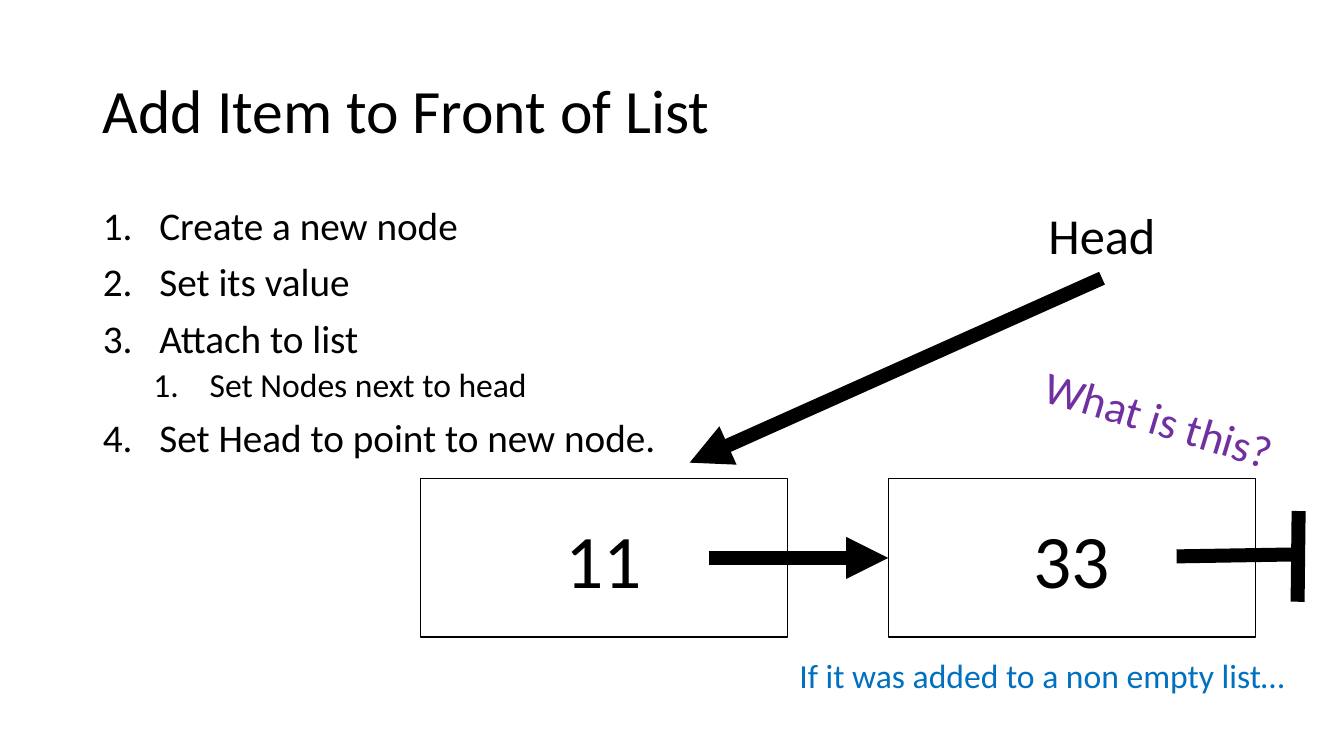
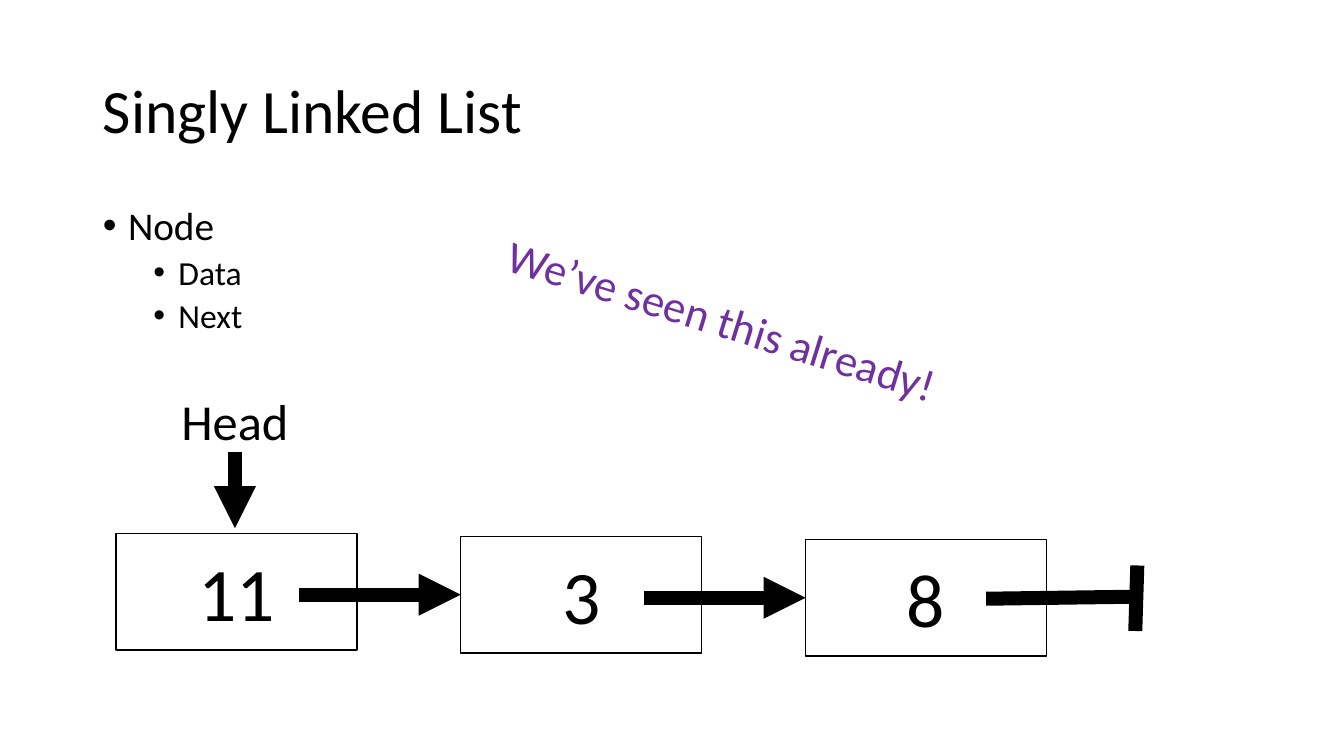
import pptx
import pptx.dml.color
import pptx.enum.shapes
import pptx.enum.text
import pptx.oxml.ns
import pptx.util
from lxml import etree

Inches = pptx.util.Inches
Pt = pptx.util.Pt
ANCHOR = pptx.enum.text.MSO_ANCHOR
ALIGN = pptx.enum.text.PP_ALIGN
AUTO_SIZE = pptx.enum.text.MSO_AUTO_SIZE

COLORS = {"ink": "000000", "paper": "FFFFFF", "question": "7030A0", "note": "0070C0"}
FONT = "Calibri"
ARROW_WIDTH = 10
NUMBERED = ("buAutoNum", {"type": "arabicPeriod"}, 0.56)
BULLETED = ("buChar", {"char": "•"}, 0.25)


def rgb(name):
    return pptx.dml.color.RGBColor.from_string(COLORS[name])


def add_xml(parent, tag, **attributes):
    return etree.SubElement(parent, pptx.oxml.ns.qn("a:" + tag), attributes)


class Deck:
    """Holds the shared style and the slide being drawn."""

    def __init__(self):
        self.presentation = pptx.Presentation()
        self.presentation.slide_width = Inches(13.33)
        self.presentation.slide_height = Inches(7.5)
        self.slide = None

    def set_text(self, paragraph, text, size, color="ink", align=ALIGN.LEFT):
        paragraph.text = text
        paragraph.alignment = align
        paragraph.font.name = FONT
        paragraph.font.size = Pt(size)
        paragraph.font.color.rgb = rgb(color)

    def place(self, shape, left, top, width, height):
        shape.left, shape.top = Inches(left), Inches(top)
        shape.width, shape.height = Inches(width), Inches(height)

    def start_slide(self, heading):
        self.slide = self.presentation.slides.add_slide(self.presentation.slide_layouts[1])
        title = self.slide.shapes.title
        self.place(title, 0.92, 0.4, 11.5, 1.45)
        title.text_frame.vertical_anchor = ANCHOR.MIDDLE
        title.text_frame.auto_size = AUTO_SIZE.NONE
        self.set_text(title.text_frame.paragraphs[0], heading, 44)
        title.text_frame.paragraphs[0].line_spacing = 0.9

    def outline(self, marker, items):
        """Fill the body with (level, text) items."""
        tag, attributes, hanging = marker
        body = self.slide.placeholders[1]
        self.place(body, 0.92, 2, 11.5, 4.76)
        frame = body.text_frame
        frame.auto_size = AUTO_SIZE.NONE
        for index, (level, text) in enumerate(items):
            paragraph = frame.add_paragraph() if index else frame.paragraphs[0]
            paragraph.level = level
            properties = paragraph._p.get_or_add_pPr()
            properties.set("marL", str(Inches(hanging + 0.5 * level)))
            properties.set("indent", str(Inches(-hanging)))
            add_xml(properties, "buFont", typeface="Arial" if tag == "buChar" else "+mj-lt")
            add_xml(properties, tag, **attributes)
            self.set_text(paragraph, text, 24 if level else 28)
            paragraph.line_spacing = 0.9
            paragraph.space_before = Pt((5 if level else 10) if index else 0)

    def label(self, text, box, size, color="ink", rotation=0, wrap=False):
        label = self.slide.shapes.add_textbox(*map(Inches, box))
        label.rotation = rotation
        label.text_frame.word_wrap = wrap
        label.text_frame.auto_size = AUTO_SIZE.SHAPE_TO_FIT_TEXT
        self.set_text(label.text_frame.paragraphs[0], text, size, color)

    def node(self, value, left, top, width, height):
        node = self.slide.shapes.add_shape(
            pptx.enum.shapes.MSO_SHAPE.RECTANGLE, *map(Inches, (left, top, width, height)))
        node.shadow.inherit = False
        node.fill.solid()
        node.fill.fore_color.rgb = rgb("paper")
        node.line.color.rgb = rgb("ink")
        node.line.width = Pt(1)
        node.text_frame.vertical_anchor = ANCHOR.MIDDLE
        self.set_text(node.text_frame.paragraphs[0], value, 54, align=ALIGN.CENTER)
        return node

    def line(self, start, end, shapes=None, arrow=False):
        shapes = shapes or self.slide.shapes
        line = shapes.add_connector(
            pptx.enum.shapes.MSO_CONNECTOR.STRAIGHT, *map(Inches, (*start, *end)))
        line.line.color.rgb = rgb("ink")
        line.line.width = Pt(ARROW_WIDTH)
        if arrow:
            add_xml(line._element.spPr.get_or_add_ln(), "tailEnd", type="triangle")
        add_xml(line._element.spPr, "effectLst")
        return line

    def null_end(self, start, end, bar_bottom, bar_top):
        """Draw the stem and crossbar that close a list."""
        group = self.slide.shapes.add_group_shape()
        self.line(start, end, group.shapes)
        self.line(bar_bottom, bar_top, group.shapes)

    def chain(self, values, first, step, size, pointer):
        """Draw linked nodes; step and pointer are offsets from a node's corner."""
        corners = [(first[0] + i * step[0], first[1] + i * step[1])
                   for i in range(len(values))]
        nodes = [self.node(value, *corner, *size)
                 for value, corner in zip(values, corners)]
        for (left, top), (next_left, next_top), target in zip(corners, corners[1:], nodes[1:]):
            link = self.line((left + pointer[0], top + pointer[1]),
                             (next_left, next_top + size[1] / 2), arrow=True)
            link.end_connect(target, 1)


def add_to_front(deck):
    deck.start_slide("Add Item to Front of List")
    deck.outline(NUMBERED, [
        (0, "Create a new node"),
        (0, "Set its value"),
        (0, "Attach to list"),
        (1, "Set Nodes next to head"),
        (0, "Set Head to point to new node."),
    ])
    deck.line((10.93, 2.76), (6.84, 4.59), arrow=True)
    deck.label("Head", (10.3, 1.98, 1.27, 0.71), 36)
    size = (3.64, 1.57)
    deck.chain(["11", "33"], first=(4.17, 4.75), step=(4.64, 0),
               size=size, pointer=(2.86, size[1] / 2))
    deck.label("What is this?", (10.23, 3.85, 2.66, 0.64), 32, "question", 16.8, wrap=True)
    deck.label("If it was added to a non empty list…", (7.83, 6.45, 5.05, 0.5), 24, "note")
    deck.null_end((11.67, 5.52), (12.87, 5.5), (12.87, 5.97), (12.88, 5.07))


def singly_linked(deck):
    deck.start_slide("Singly Linked List")
    deck.outline(BULLETED, [(0, "Node"), (1, "Data"), (1, "Next")])
    deck.chain(["11", "3", "8"], first=(1.15, 5.29), step=(3.42, 0.03),
               size=(2.39, 1.16), pointer=(1.82, 0.61))
    deck.null_end((9.78, 5.94), (11.26, 5.92), (11.26, 6.26), (11.28, 5.61))
    deck.line((2.33, 4.48), (2.33, 5.24), arrow=True)
    deck.label("Head", (1.7, 3.82, 1.27, 0.71), 36)
    deck.label("We’ve seen this already!", (4.86, 2.86, 4.66, 0.64), 32, "question", 17.3)


def main():
    deck = Deck()
    add_to_front(deck)
    singly_linked(deck)
    deck.presentation.save("out.pptx")


if __name__ == "__main__":
    main()
